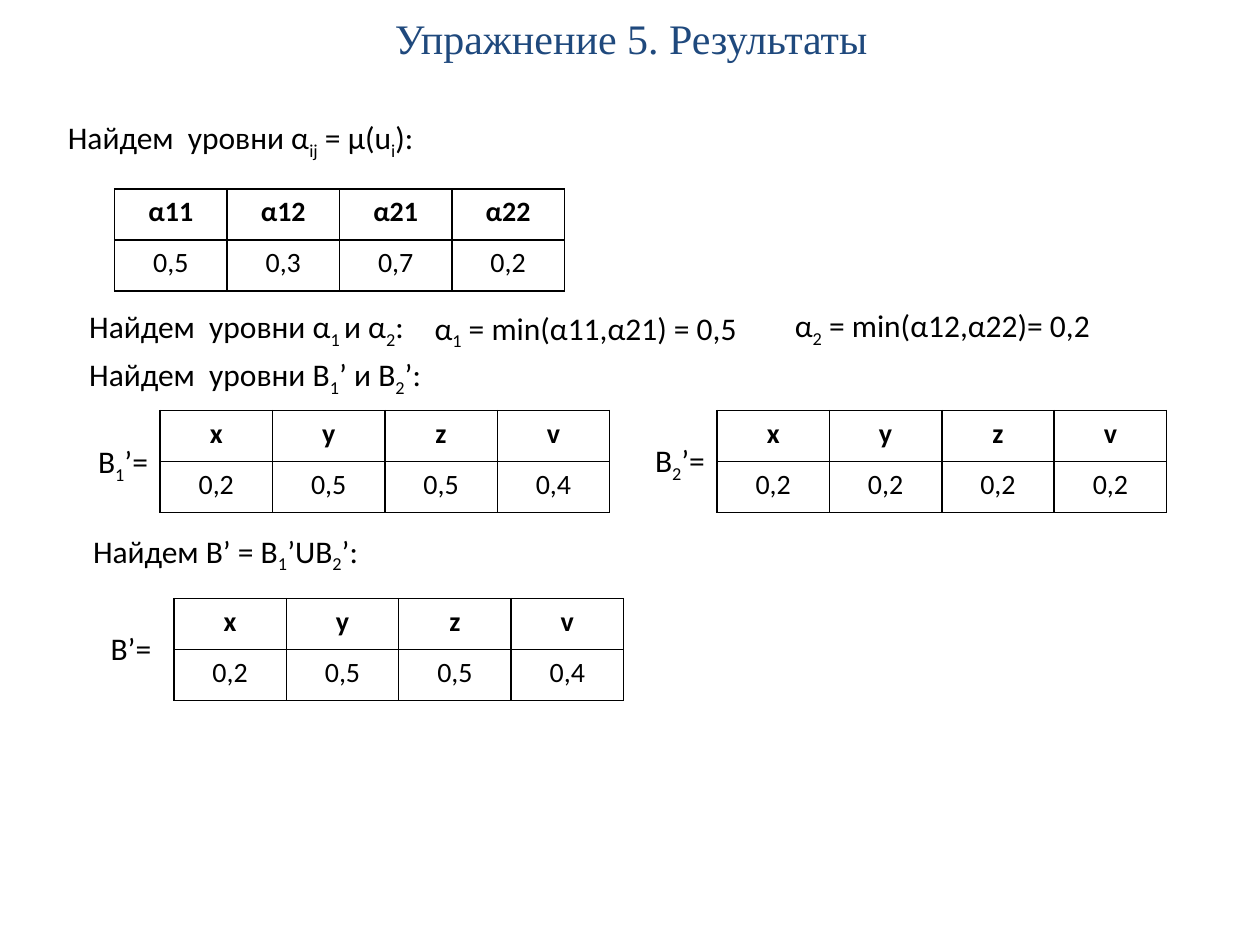
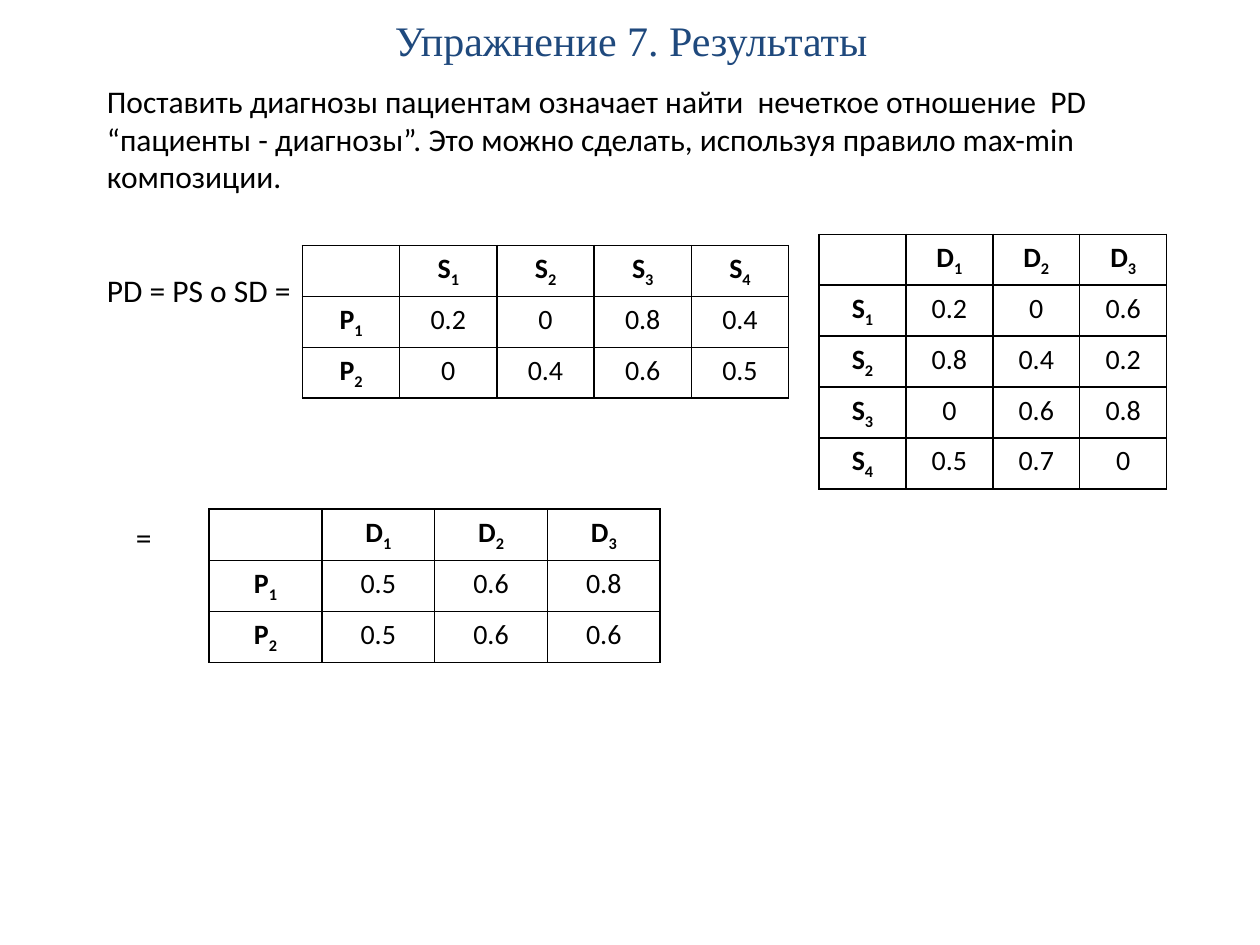
from lxml.etree import SubElement
from pptx import Presentation
from pptx.dml.color import RGBColor
from pptx.enum.text import MSO_ANCHOR as Anchor, MSO_AUTO_SIZE as AutoSize, PP_ALIGN as Align
from pptx.oxml.ns import qn
from pptx.util import Inches, Pt

BLACK, WHITE, NAVY = "000000", "FFFFFF", "1F497D"
BODY_FONT, TITLE_FONT = "Calibri", "Times New Roman"


def write(frame, text, size=18, font=BODY_FONT, color=BLACK, bold=False,
          align=Align.LEFT, anchor=Anchor.TOP, wrap=True):
    """Write text into a frame; parts between tildes become subscripts."""
    frame.word_wrap = wrap
    frame.vertical_anchor = anchor
    para = frame.paragraphs[0]
    para.alignment = align
    for index, piece in enumerate(text.split("~")):
        if not piece:
            continue
        span = para.add_run()
        span.text = piece
        span.font.size = Pt(size)
        span.font.name = font
        span.font.bold = bold
        span.font.color.rgb = RGBColor.from_string(color)
        if index % 2:
            span._r.get_or_add_rPr().set("baseline", "-25000")


def add_grid(page, left, top, width, height, rows, row_labels=False):
    area = [Inches(length) for length in (left, top, width, height)]
    table = page.shapes.add_table(len(rows), len(rows[0]), *area).table
    table.first_row = table.horz_banding = False
    for row_index, row in enumerate(rows):
        for column_index, text in enumerate(row):
            cell = table.cell(row_index, column_index)
            properties = cell._tc.get_or_add_tcPr()
            for side in ("a:lnL", "a:lnR", "a:lnT", "a:lnB"):
                border = SubElement(properties, qn(side), w=str(Pt(1)))
                SubElement(SubElement(border, qn("a:solidFill")), qn("a:srgbClr"), val=BLACK)
            cell.fill.solid()
            cell.fill.fore_color.rgb = RGBColor.from_string(WHITE)
            heading = row_index == 0 or (row_labels and column_index == 0)
            write(cell.text_frame, text, size=16, bold=heading, align=Align.CENTER)


deck = Presentation()
deck.slide_width, deck.slide_height = Inches(10), Inches(7.5)

VARIABLES = ["x", "y", "z", "v"]
DIAGNOSES = ["", "D~1", "D~2", "D~3"]

slides = [
    {
        "title": ("Упражнение 5. Результаты", 0, 0.6),
        "texts": [
            (0.44, 0.89, 6.75, 0.4, "Найдем  уровни α~ij~ = μ(u~i~):", True),
            (0.61, 2.39, 6.75, 0.4, "Найдем  уровни α~1 ~и α~2~:", True),
            (3.35, 2.4, 3.69, 0.4, "α~1~ = min(α11,α21) = 0,5", True),
            (6.21, 2.38, 3.69, 0.4, "α~2~ = min(α12,α22)= 0,2", True),
            (0.61, 2.77, 6.75, 0.4, "Найдем  уровни B~1~’ и B~2~’:", True),
            (0.68, 3.46, 0.61, 0.4, "B~1~’=", False),
            (5.1, 3.45, 0.61, 0.4, "B~2~’=", False),
            (0.64, 4.17, 2.63, 0.4, "Найдем B’ = B~1~’UB~2~’:", True),
            (0.78, 4.94, 0.53, 0.4, "B’=", False),
        ],
        "grids": [
            (0.91, 1.5, 3.57, 0.81, [["α11", "α12", "α21", "α22"], ["0,5", "0,3", "0,7", "0,2"]]),
            (1.27, 3.26, 3.57, 0.81, [VARIABLES, ["0,2", "0,5", "0,5", "0,4"]]),
            (5.69, 3.26, 3.57, 0.81, [VARIABLES, ["0,2"] * 4]),
            (1.38, 4.75, 3.57, 0.81, [VARIABLES, ["0,2", "0,5", "0,5", "0,4"]]),
        ],
        "row_labels": False,
    },
    {
        "title": ("Упражнение 7. Результаты", 0.03, 0.57),
        "texts": [
            (0.75, 0.6, 8.98, 1.01,
             "Поставить диагнозы пациентам означает найти  нечеткое отношение  PD "
             "“пациенты - диагнозы”. Это можно сделать, используя правило max-min композиции.", True),
            (0.75, 2.1, 1.89, 0.4, "PD = PS ο SD =", True),
            (0.98, 4.06, 1.65, 0.4, "=", True),
        ],
        "grids": [
            (2.4, 1.95, 3.86, 1.21, [
                ["", "S~1", "S~2", "S~3", "S~4"],
                ["P~1", "0.2", "0", "0.8", "0.4"],
                ["P~2", "0", "0.4", "0.6", "0.5"],
            ]),
            (6.5, 1.86, 2.76, 2.02, [
                DIAGNOSES,
                ["S~1", "0.2", "0", "0.6"],
                ["S~2", "0.8", "0.4", "0.2"],
                ["S~3", "0", "0.6", "0.8"],
                ["S~4", "0.5", "0.7", "0"],
            ]),
            (1.66, 4.04, 3.58, 1.22, [
                DIAGNOSES,
                ["P~1", "0.5", "0.6", "0.8"],
                ["P~2", "0.5", "0.6", "0.6"],
            ]),
        ],
        "row_labels": True,
    },
]

for content in slides:
    page = deck.slides.add_slide(deck.slide_layouts[6])
    title, top, height = content["title"]
    box = page.shapes.add_textbox(Inches(0.51), Inches(top), Inches(9), Inches(height))
    write(box.text_frame, title, size=24, font=TITLE_FONT, color=NAVY,
          align=Align.CENTER, anchor=Anchor.MIDDLE)
    for left, top, width, height, text, wrap in content["texts"]:
        box = page.shapes.add_textbox(Inches(left), Inches(top), Inches(width), Inches(height))
        write(box.text_frame, text, wrap=wrap)
        box.text_frame.auto_size = AutoSize.SHAPE_TO_FIT_TEXT
    for grid in content["grids"]:
        add_grid(page, *grid, row_labels=content["row_labels"])

deck.save("out.pptx")
